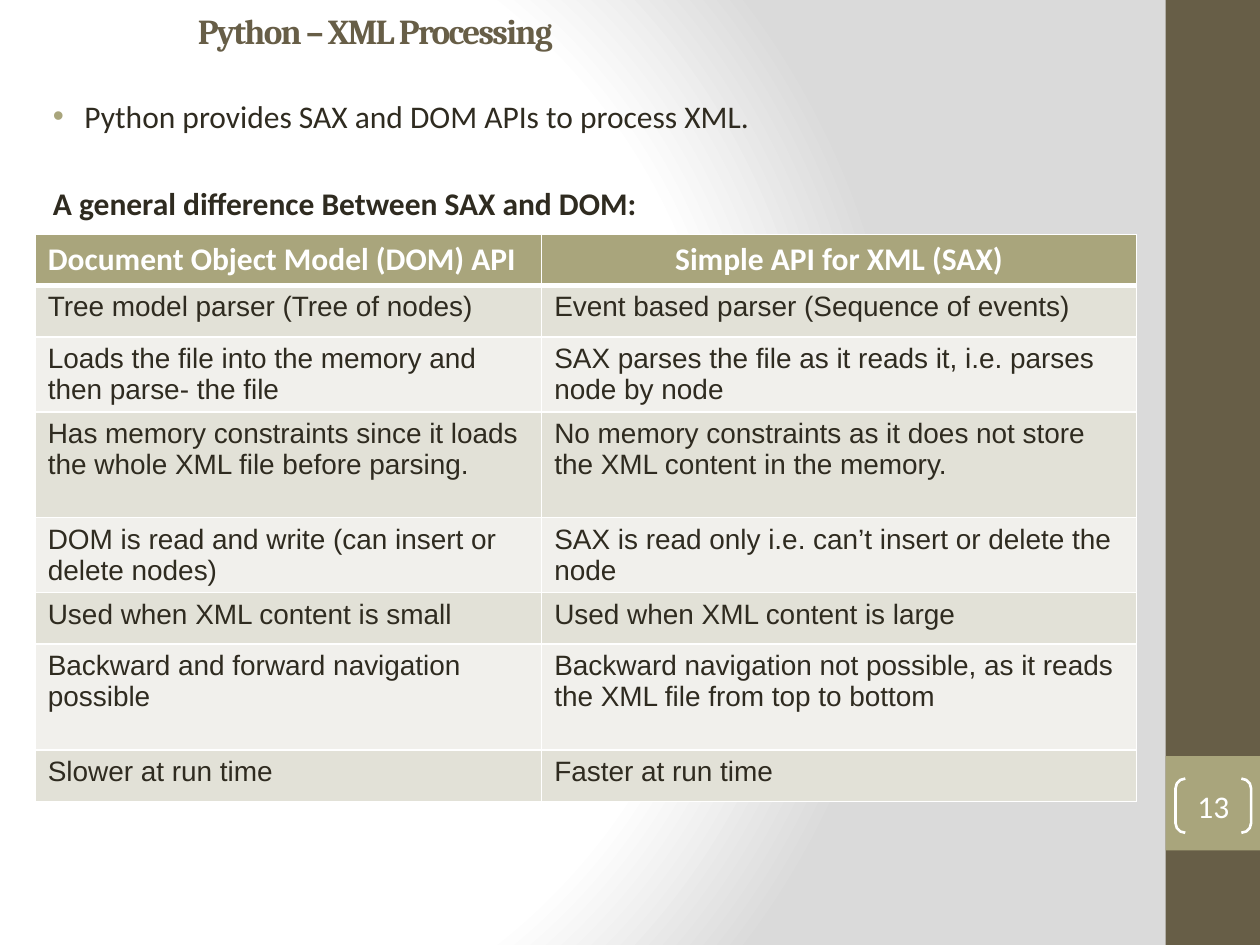
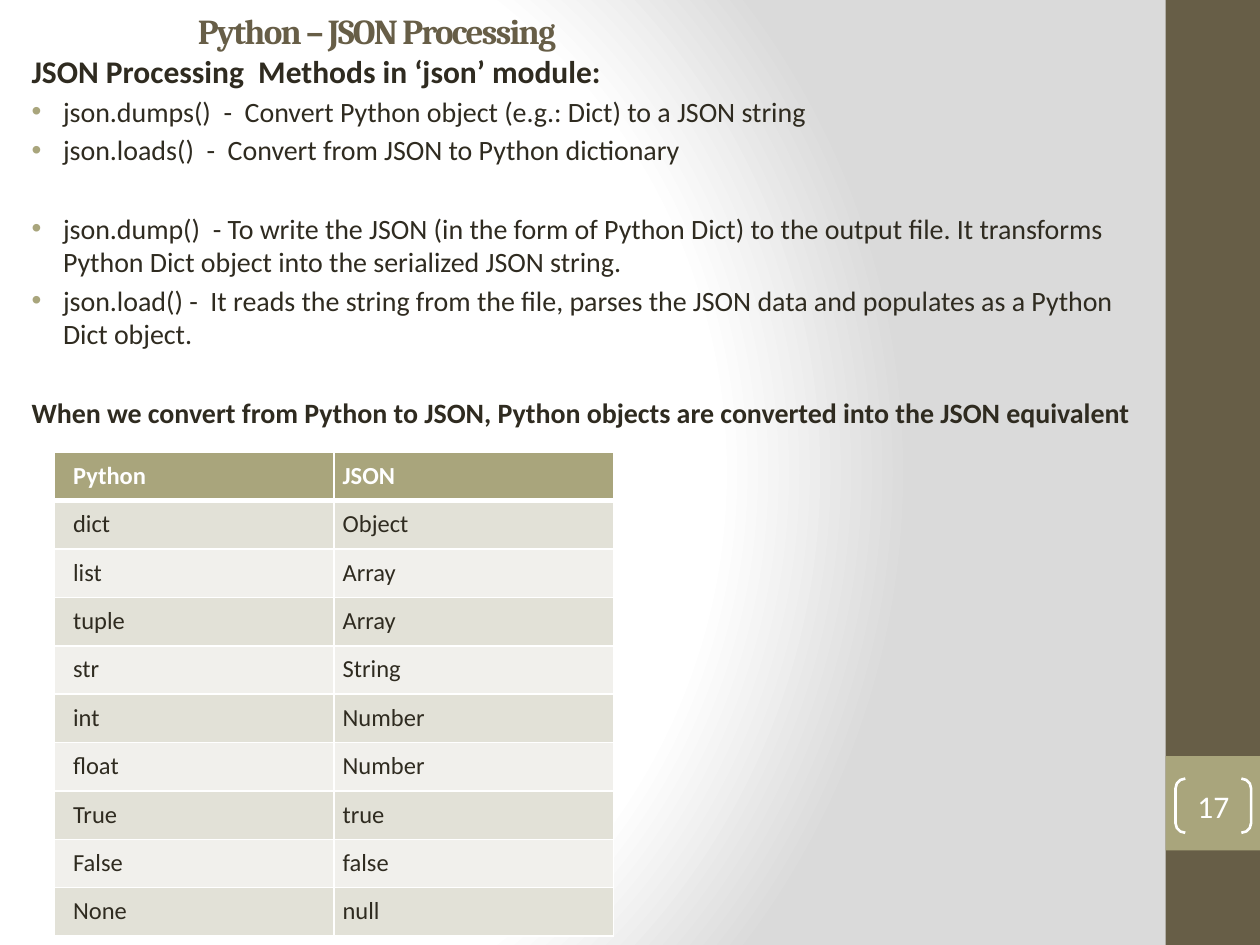
import pptx
import pptx.util
import pptx.dml.color
import pptx.enum.shapes
import pptx.enum.text
import pptx.oxml
import pptx.oxml.ns

Inch, Pt = pptx.util.Inches, pptx.util.Pt
Shape = pptx.enum.shapes.MSO_SHAPE
Align, Anchor = pptx.enum.text.PP_ALIGN, pptx.enum.text.MSO_ANCHOR
Fit = pptx.enum.text.MSO_AUTO_SIZE

# Shared look
WIDE, HIGH, BAND = 10, 7.5, 0.75
DARK, OLIVE, INK, WHITE = "675E47", "A9A57C", "2F2B20", "FFFFFF"
STRIPES = "E2E1D7", "F1F0EC"
STOPS = [(0, WHITE), (75, WHITE), (100, "DADADA")]
TITLE = 0.43, 0.13, 8.33, 0.22

# Content: lines are (kind, text, points, space before)
HEAD, ITEM = "head", "item"
SLIDES = [
    dict(
        title="Python – XML Processing", number="13",
        body=(0.2, 0.36, 9.06, 7.14), top=0.41,
        lines=[
            (ITEM, "Python provides SAX and DOM APIs to process XML.", 18, 0),
            (HEAD, "A general difference Between SAX and DOM:", 18, 28.4),
        ],
        table=dict(
            at=(0.28, 1.86), cols=[4.02, 4.72],
            rows=[0.4, 0.41, 0.59, 0.84, 0.59, 0.41, 0.84, 0.41],
            font="Arial", sizes=(18, 16), insets=(0.1, 0.1), pad=0.05,
            heads=(Align.LEFT, Align.CENTER),
            cells=[
                ("Document Object Model (DOM) API", "Simple API for XML (SAX)"),
                ("Tree model parser (Tree of nodes)",
                 "Event based parser (Sequence of events)"),
                ("Loads the file into the memory and then parse- the file",
                 "SAX parses the file as it reads it, i.e. parses node by node"),
                ("Has memory constraints since it loads the whole XML file "
                 "before parsing.",
                 "No memory constraints as it does not store the XML content "
                 "in the memory."),
                ("DOM is read and write (can insert or delete nodes)",
                 "SAX is read only i.e. can’t insert or delete the node"),
                ("Used when XML content is small",
                 "Used when XML content is large"),
                ("Backward and forward navigation possible",
                 "Backward navigation not possible, as it reads the XML file "
                 "from top to bottom"),
                ("Slower at run time", "Faster at run time"),
            ])),
    dict(
        title="Python – JSON Processing", number="17",
        body=(0.03, 0.36, 9.25, 7.14), top=0.05,
        lines=[
            (HEAD, "JSON Processing  Methods in ‘json’ module:", 18, 0),
            (ITEM, "json.dumps()  -  Convert Python object (e.g.: Dict) to a "
             "JSON string", 16, 2.8),
            (ITEM, "json.loads()  -  Convert from JSON to Python dictionary",
             16, 2.8),
            (ITEM, "json.dump()  - To write the JSON (in the form of Python "
             "Dict) to the output file. It transforms Python Dict object into "
             "the serialized JSON string.", 16, 25.6),
            (ITEM, "json.load() -  It reads the string from the file, parses "
             "the JSON data and populates as a Python Dict object.", 16, 2.8),
            (HEAD, "When we convert from Python to JSON, Python objects are "
             "converted into the JSON equivalent", 16, 25.6),
        ],
        table=dict(
            at=(0.43, 3.59), cols=[2.22] * 2, rows=[0.384] * 10,
            font="Calibri", sizes=(14, 14), insets=(0.15, 0.07), pad=0.07,
            heads=(Align.LEFT, Align.LEFT),
            cells=[
                ("Python", "JSON"), ("dict", "Object"), ("list", "Array"),
                ("tuple", "Array"), ("str", "String"), ("int", "Number"),
                ("float", "Number"), ("True", "true"), ("False", "false"),
                ("None", "null"),
            ])),
]


def color(code):
    return pptx.dml.color.RGBColor.from_string(code)


def node(tag, inner="", **attrs):
    """Make one drawing element."""
    text = "".join(f' {key}="{val}"' for key, val in attrs.items())
    space = pptx.oxml.ns.nsdecls("a")
    return pptx.oxml.parse_xml(f"<a:{tag} {space}{text}>{inner}</a:{tag}>")


def place(shape, box):
    shape.left, shape.top, shape.width, shape.height = map(Inch, box)


def style(para, font, size, code, bold=False):
    para.font.name, para.font.size, para.font.bold = font, Pt(size), bold
    para.font.color.rgb = color(code)


def paint(master):
    """Fill the background with a round gradient."""
    master.background.fill.solid()
    stops = "".join(f'<a:gs pos="{pos * 1000}"><a:srgbClr val="{code}"/></a:gs>'
                    for pos, code in STOPS)
    grad = node("gradFill", f"<a:gsLst>{stops}</a:gsLst>"
                '<a:path path="circle"><a:fillToRect l="20000" t="50000" '
                'r="100000" b="50000"/></a:path>', rotWithShape=1)
    solid = next(master.element.iter(pptx.oxml.ns.qn("a:solidFill")))
    solid.getparent().replace(solid, grad)


def add_shape(slide, kind, box, fill=None):
    shape = slide.shapes.add_shape(kind, *map(Inch, box))
    shape.shadow.inherit = False
    if fill:
        shape.fill.solid()
        shape.fill.fore_color.rgb = color(fill)
        shape.line.fill.background()
    else:
        shape.fill.background()
    return shape


def add_band(slide, number):
    """Draw the side band and the bracketed page number."""
    left = WIDE - BAND
    add_shape(slide, Shape.RECTANGLE, (left, 0, BAND, HIGH), DARK)
    add_shape(slide, Shape.RECTANGLE, (left, 0.8 * HIGH, BAND, BAND), OLIVE)
    pair = add_shape(slide, Shape.DOUBLE_BRACKET, (9.33, 6.18, 0.6, 0.43))
    pair.adjustments[0] = 0.18
    pair.line.color.rgb, pair.line.width = color(WHITE), Pt(1.5)
    frame = pair.text_frame
    frame.margin_left = frame.margin_right = 0
    frame.margin_top = frame.margin_bottom = 0
    frame.vertical_anchor = Anchor.MIDDLE
    para = frame.paragraphs[0]
    para.text, para.alignment = number, Align.CENTER
    style(para, "Calibri", 18, WHITE)


def set_title(shape, text):
    place(shape, TITLE)
    frame = shape.text_frame
    frame.auto_size, frame.vertical_anchor = Fit.NONE, Anchor.MIDDLE
    frame.margin_left = Inch(1.14)
    para = frame.paragraphs[0]
    para.text, para.alignment = text, Align.LEFT
    style(para, "Cambria", 20, DARK, True)
    para.runs[0].font.bold = True
    para.runs[0].font._element.set("spc", "-100")


def set_body(shape, box, top, lines):
    place(shape, box)
    frame = shape.text_frame
    frame.auto_size, frame.margin_top = Fit.NONE, Inch(top)
    for num, (kind, text, size, gap) in enumerate(lines):
        para = frame.add_paragraph() if num else frame.paragraphs[0]
        para.text, para.space_before = text, Pt(gap)
        style(para, "Calibri", size, INK, kind == HEAD)
        props = para._p.get_or_add_pPr()
        left, hang = (0.12, 0) if kind == HEAD else (0.37, -0.25)
        props.set("marL", str(Inch(left)))
        props.set("indent", str(Inch(hang)))
        if kind == HEAD:
            marks = [node("buNone")]
        else:
            marks = [node("buClr", f'<a:srgbClr val="{OLIVE}"/>'),
                     node("buFont", typeface="Arial"), node("buChar", char="•")]
        for pos, mark in enumerate(marks, 1):
            props.insert(pos, mark)


def set_edges(cell, head):
    """Rule all four sides in white, thicker under the header."""
    props = cell._tc.get_or_add_tcPr()
    for pos, side in enumerate("LRTB"):
        width = 3 if head and side == "B" else 1
        edge = node(f"ln{side}", f'<a:solidFill><a:srgbClr val="{WHITE}"/>'
                    "</a:solidFill>", w=Pt(width))
        props.insert(pos, edge)


def add_table(slide, at, cols, rows, font, sizes, insets, pad, heads, cells):
    box = *at, sum(cols), sum(rows)
    grid = slide.shapes.add_table(len(rows), len(cols), *map(Inch, box)).table
    for col, width in zip(grid.columns, cols):
        col.width = Inch(width)
    for num, (row, high) in enumerate(zip(grid.rows, rows)):
        row.height = Inch(high)
        head = num == 0
        for pos, cell in enumerate(row.cells):
            cell.margin_left = Inch(insets[pos])
            cell.margin_right = Inch(insets[1])
            cell.margin_top = cell.margin_bottom = Inch(pad)
            cell.fill.solid()
            cell.fill.fore_color.rgb = color(
                OLIVE if head else STRIPES[(num - 1) % 2])
            para = cell.text_frame.paragraphs[0]
            para.text = cells[num][pos]
            if head:
                para.alignment = heads[pos]
                style(para, "Calibri", sizes[0], WHITE, True)
            else:
                style(para, font, sizes[1], INK)
            set_edges(cell, head)


def main():
    deck = pptx.Presentation()
    deck.slide_width, deck.slide_height = Inch(WIDE), Inch(HIGH)
    paint(deck.slide_master)
    for page in SLIDES:
        slide = deck.slides.add_slide(deck.slide_layouts[1])
        add_band(slide, page["number"])
        set_title(slide.shapes.title, page["title"])
        set_body(slide.placeholders[1], page["body"], page["top"],
                 page["lines"])
        add_table(slide, **page["table"])
    deck.save("out.pptx")


if __name__ == "__main__":
    main()
